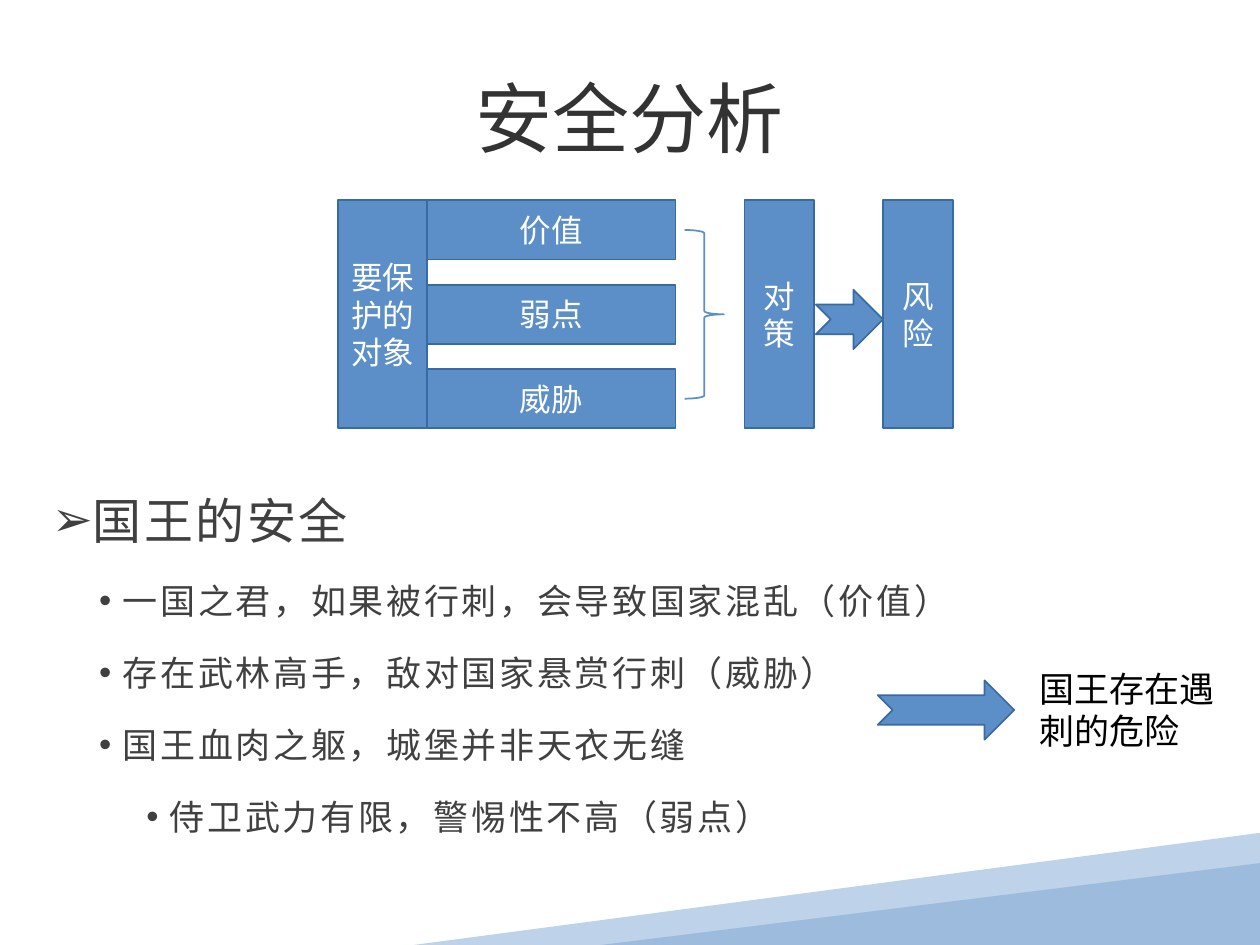
import pptx
import pptx.util
import pptx.dml.color
import pptx.enum.shapes
import pptx.enum.text
import pptx.oxml.ns
import lxml.etree

Pt = pptx.util.Pt
RGBColor = pptx.dml.color.RGBColor
SHAPE = pptx.enum.shapes.MSO_SHAPE
ALIGN = pptx.enum.text.PP_ALIGN
ANCHOR = pptx.enum.text.MSO_ANCHOR
AUTO_SIZE = pptx.enum.text.MSO_AUTO_SIZE
qn = pptx.oxml.ns.qn

FONT = "Noto Sans CJK SC"
BLUE = RGBColor(0x5C, 0x8F, 0xC7)
DARK_BLUE = RGBColor(0x38, 0x6B, 0xA2)
PALE_BLUE = RGBColor(0xBE, 0xD2, 0xE9)
SOFT_BLUE = RGBColor(0x9D, 0xBC, 0xDD)
WHITE = RGBColor(0xFF, 0xFF, 0xFF)
BLACK = RGBColor(0, 0, 0)
TITLE_GREY = RGBColor(0x33, 0x33, 0x33)
BODY_GREY = RGBColor(0x40, 0x40, 0x40)

TITLE = "安全分析"
ASSET = "要保护的对象"
FACTORS = ["价值", "弱点", "威胁"]
OUTCOMES = ["对策", "风险"]
CONCLUSION = "国王存在遇刺的危险"
KING_POINTS = [
    (0, "➢", 28, "国王的安全"),
    (1, "•", 20, "一国之君，如果被行刺，会导致国家混乱（价值）"),
    (1, "•", 20, "存在武林高手，敌对国家悬赏行刺（威胁）"),
    (1, "•", 20, "国王血肉之躯，城堡并非天衣无缝"),
    (2, "•", 20, "侍卫武力有限，警惕性不高（弱点）"),
]

DIAGRAM_TOP, DIAGRAM_HEIGHT = 114.5, 130.3
ASSET_LEFT, ASSET_WIDTH = 193, 51.2
FACTOR_WIDTH, FACTOR_HEIGHT = 141.8, 33.9
FACTOR_PITCH = (DIAGRAM_HEIGHT - FACTOR_HEIGHT) / (len(FACTORS) - 1)
OUTCOME_LEFT, OUTCOME_WIDTH, OUTCOME_PITCH = 425.5, 39.8, 79.3
ARROWS = [(466.2, 165.6, 38.4, 33.9), (501.6, 388.8, 78, 33.9)]
BRACE = (391.3, 131.4, 22.4, 96.4)
WEDGE = [(720, 475.9), (720, 535.7), (484.6, 540), (236.2, 540)]
TRIANGLE = (343.4, 493.2, 376.6, 46.8)
INDENT, LEVEL_STEP = 13.5, 27


def apply(target, values):
    for attribute, value in values.items():
        setattr(target, attribute, value)


def place(shape, left, top, width, height):
    apply(shape, {"left": Pt(left), "top": Pt(top), "width": Pt(width), "height": Pt(height)})


def write(paragraph, text, size, color, spacing=0):
    run = paragraph.add_run()
    run.text = text
    apply(run.font, {"size": Pt(size), "name": FONT})
    run.font.color.rgb = color
    properties = run.font._element
    lxml.etree.SubElement(properties, qn("a:ea")).set("typeface", FONT)
    if spacing:
        properties.set("spc", str(int(spacing * 100)))


def paint(shape, fill, line=None):
    shape.shadow.inherit = False
    if fill is None:
        shape.fill.background()
    else:
        shape.fill.solid()
        shape.fill.fore_color.rgb = fill
    if line is None:
        shape.line.fill.background()
    else:
        shape.line.color.rgb = line
        shape.line.width = Pt(1)


def draw(kind, box, fill, line=None):
    shape = slide.shapes.add_shape(kind, *[Pt(length) for length in box])
    paint(shape, fill, line)
    return shape


def block(text, box):
    frame = draw(SHAPE.RECTANGLE, box, BLUE, DARK_BLUE).text_frame
    apply(frame, {"word_wrap": True, "vertical_anchor": ANCHOR.MIDDLE})
    frame.paragraphs[0].alignment = ALIGN.CENTER
    write(frame.paragraphs[0], text, 18, WHITE)


deck = pptx.Presentation()
apply(deck, {"slide_width": Pt(720), "slide_height": Pt(540)})
slide = deck.slides.add_slide(deck.slide_layouts[1])
title, king = slide.shapes.title, slide.placeholders[1]

place(title, 36, 21.6, 648, 90)
apply(title.text_frame, {"vertical_anchor": ANCHOR.MIDDLE, "auto_size": AUTO_SIZE.NONE})
title.text_frame.paragraphs[0].alignment = ALIGN.CENTER
write(title.text_frame.paragraphs[0], TITLE, 44, TITLE_GREY)

place(king, 21.6, 270, 584, 156.2)
apply(king.text_frame, {
    "margin_left": Pt(8), "margin_right": Pt(6.5), "margin_top": 0, "margin_bottom": 0,
    "vertical_anchor": ANCHOR.TOP, "auto_size": AUTO_SIZE.NONE, "word_wrap": True,
})
for index, (level, bullet, size, text) in enumerate(KING_POINTS):
    point = king.text_frame.add_paragraph() if index else king.text_frame.paragraphs[0]
    properties = point._p.get_or_add_pPr()
    properties.set("marL", str(Pt(INDENT + level * LEVEL_STEP)))
    properties.set("indent", str(-Pt(INDENT)))
    lxml.etree.SubElement(properties, qn("a:buFont")).set("typeface", "Arial")
    lxml.etree.SubElement(properties, qn("a:buChar")).set("char", bullet)
    apply(point, {
        "level": level, "alignment": ALIGN.LEFT, "line_spacing": 1.3,
        "space_before": Pt(0), "space_after": Pt(10),
    })
    write(point, text, size, BODY_GREY, 1.5)

corners = [(Pt(x), Pt(y)) for x, y in WEDGE]
outline = slide.shapes.build_freeform(*corners[0])
outline.add_line_segments(corners[1:], close=True)
paint(outline.convert_to_shape(), PALE_BLUE)
draw(SHAPE.ISOSCELES_TRIANGLE, TRIANGLE, SOFT_BLUE).adjustments[0] = 1

block(ASSET, (ASSET_LEFT, DIAGRAM_TOP, ASSET_WIDTH, DIAGRAM_HEIGHT))
for row, factor in enumerate(FACTORS):
    top = DIAGRAM_TOP + row * FACTOR_PITCH
    block(factor, (ASSET_LEFT + ASSET_WIDTH, top, FACTOR_WIDTH, FACTOR_HEIGHT))
for column, outcome in enumerate(OUTCOMES):
    left = OUTCOME_LEFT + column * OUTCOME_PITCH
    block(outcome, (left, DIAGRAM_TOP, OUTCOME_WIDTH, DIAGRAM_HEIGHT))

draw(SHAPE.RIGHT_BRACE, BRACE, None, BLUE)
for arrow in ARROWS:
    draw(SHAPE.NOTCHED_RIGHT_ARROW, arrow, BLUE, DARK_BLUE)

conclusion = slide.shapes.add_textbox(Pt(586.8), Pt(378), Pt(117.4), Pt(55.4))
apply(conclusion.text_frame, {"word_wrap": True, "auto_size": AUTO_SIZE.SHAPE_TO_FIT_TEXT})
write(conclusion.text_frame.paragraphs[0], CONCLUSION, 20, BLACK)

deck.save("out.pptx")
